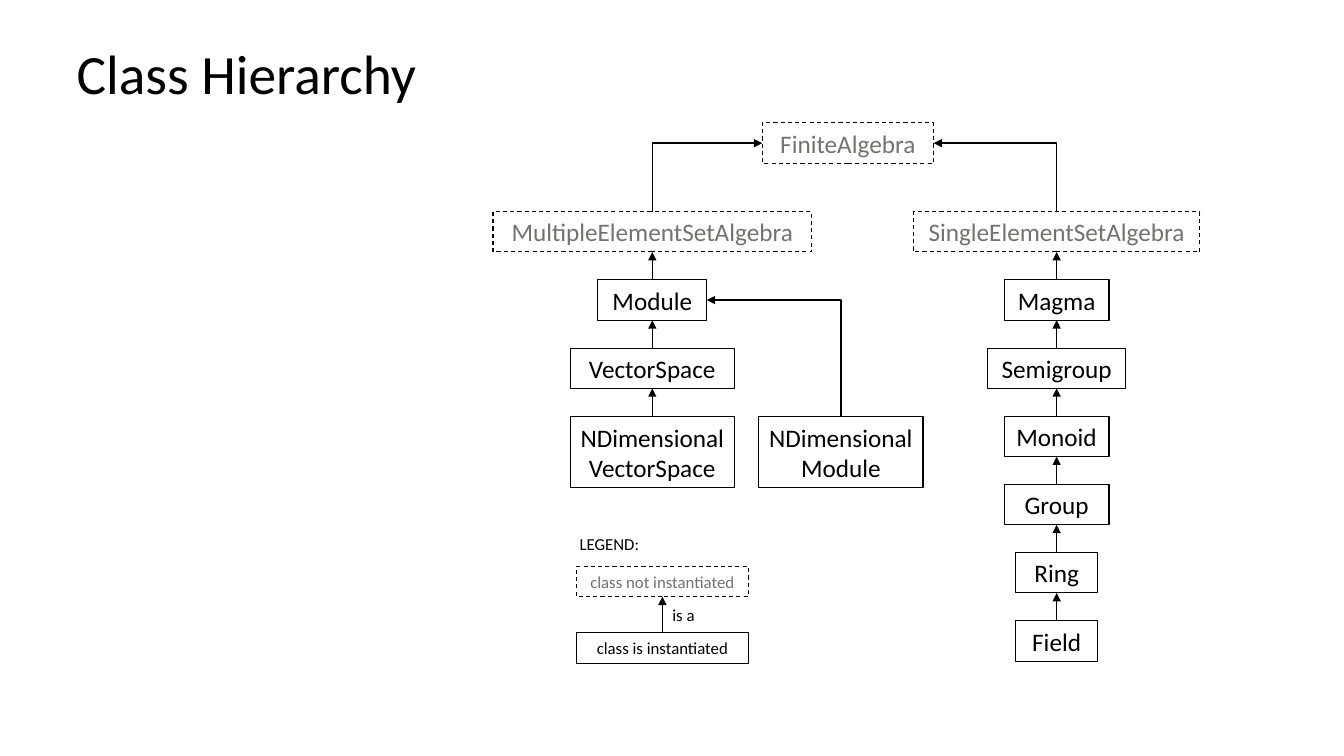
from lxml import etree
from pptx import Presentation
from pptx.dml.color import RGBColor
from pptx.enum.dml import MSO_LINE
from pptx.enum.shapes import MSO_CONNECTOR, MSO_SHAPE
from pptx.enum.text import MSO_ANCHOR, PP_ALIGN
from pptx.oxml.ns import qn
from pptx.util import Inches, Pt

COLORS = {"ink": "000000", "abstract": "767171"}
FONT = "Calibri"
TOP, LEFT, BOTTOM, RIGHT = range(4)  # connection sites of a rectangle
BOX_HEIGHT = 0.4
ROW_PITCH = (6.16 - 2.1) / 6


def color(name):
    return RGBColor.from_string(COLORS[name])


def set_text(shape, text, size, color_name="ink", align=PP_ALIGN.LEFT):
    shape.text_frame.text = text
    for paragraph in shape.text_frame.paragraphs:
        paragraph.alignment = align
        for run in paragraph.runs:
            run.font.name = FONT
            run.font.size = Pt(size)
            run.font.color.rgb = color(color_name)


def add_title(slide, left, top, width, height):
    title = slide.shapes.title
    title.left, title.top = Inches(left), Inches(top)
    title.width, title.height = Inches(width), Inches(height)
    set_text(title, "Class Hierarchy", 39.6)
    title.text_frame.vertical_anchor = MSO_ANCHOR.MIDDLE
    title.text_frame.paragraphs[0].line_spacing = 0.9


def add_class(slide, text, center, top, width, height=BOX_HEIGHT,
              abstract=False, size=18):
    """Class box centred on a column; abstract classes are grey and dashed."""
    shape = slide.shapes.add_shape(
        MSO_SHAPE.RECTANGLE, Inches(center - width / 2), Inches(top),
        Inches(width), Inches(height))
    shape.shadow.inherit = False
    shape.fill.background()
    shape.line.color.rgb = color("ink")
    shape.line.width = Pt(0.75)
    if abstract:
        shape.line.dash_style = MSO_LINE.DASH
    set_text(shape, text, size, "abstract" if abstract else "ink", PP_ALIGN.CENTER)
    shape.text_frame.word_wrap = False
    shape.text_frame.vertical_anchor = MSO_ANCHOR.MIDDLE
    return shape


def add_is_a(slide, parent, child, side=BOTTOM):
    """Arrow into one side of the parent, bent unless it enters from below."""
    bent = side != BOTTOM
    connector = slide.shapes.add_connector(
        MSO_CONNECTOR.ELBOW if bent else MSO_CONNECTOR.STRAIGHT, 0, 0, 0, 0)
    connector.begin_connect(parent, side)
    connector.end_connect(child, TOP)
    connector.line.color.rgb = color("ink")
    connector.line.width = Pt(1)
    properties = connector._element.spPr
    if bent:
        properties.find(qn("a:prstGeom")).set("prst", "bentConnector2")
    line = properties.find(qn("a:ln"))
    etree.SubElement(line, qn("a:headEnd"), type="triangle")
    etree.SubElement(properties, qn("a:effectLst"))


def add_label(slide, text, left, top, width, height=0.3):
    label = slide.shapes.add_textbox(
        Inches(left), Inches(top), Inches(width), Inches(height))
    label.text_frame.word_wrap = True
    set_text(label, text, 12)


def add_chain(slide, center, top, classes):
    """Column of classes, each one a kind of the class above it."""
    boxes = []
    for row, (text, width, height) in enumerate(classes):
        box = add_class(slide, text, center, top + row * ROW_PITCH, width,
                        height, abstract=row == 0)
        if boxes:
            add_is_a(slide, boxes[-1], box)
        boxes.append(box)
    return boxes


def add_hierarchy(slide, left, top):
    root = add_class(slide, "FiniteAlgebra", left + 3.52, top, 1.7, abstract=True)
    chain_top = top + 0.88

    # Algebras over several element sets
    multiple = add_chain(slide, left + 1.58, chain_top, [
        ("MultipleElementSetAlgebra", 3.16, BOX_HEIGHT),
        ("Module", 1.08, BOX_HEIGHT),
        ("VectorSpace", 1.63, BOX_HEIGHT),
        ("NDimensional\vVectorSpace", 1.63, 0.71)])
    module = add_class(slide, "NDimensional\vModule", left + 3.45,
                       chain_top + 3 * ROW_PITCH, 1.63, 0.71)
    add_is_a(slide, multiple[1], module, RIGHT)

    # Algebras over a single element set
    single = add_chain(slide, left + 5.59, chain_top, [
        ("SingleElementSetAlgebra", 2.84, BOX_HEIGHT),
        ("Magma", 1.04, BOX_HEIGHT),
        ("Semigroup", 1.37, BOX_HEIGHT),
        ("Monoid", 1.04, BOX_HEIGHT),
        ("Group", 1.04, BOX_HEIGHT),
        ("Ring", 0.82, BOX_HEIGHT),
        ("Field", 0.82, BOX_HEIGHT)])

    # Both families descend from the root
    add_is_a(slide, root, multiple[0], LEFT)
    add_is_a(slide, root, single[0], RIGHT)


def add_legend(slide, left, top):
    add_label(slide, "LEGEND:", left, top, 0.91)
    center = left + 0.92
    parent = add_class(slide, "class not instantiated", center, top + 0.37,
                       1.7, 0.3, abstract=True, size=12)
    child = add_class(slide, "class is instantiated", center, top + 1.03,
                      1.7, 0.3, size=12)
    add_is_a(slide, parent, child)
    add_label(slide, "is a", center, top + 0.7, 0.47)


presentation = Presentation()
presentation.slide_width, presentation.slide_height = Inches(13.33), Inches(7.5)
slide = presentation.slides.add_slide(presentation.slide_layouts[5])
add_title(slide, 0.66, 0.45, 4.08, 0.61)
add_hierarchy(slide, 4.89, 1.22)
add_legend(slide, 5.65, 5.25)
presentation.save("out.pptx")
